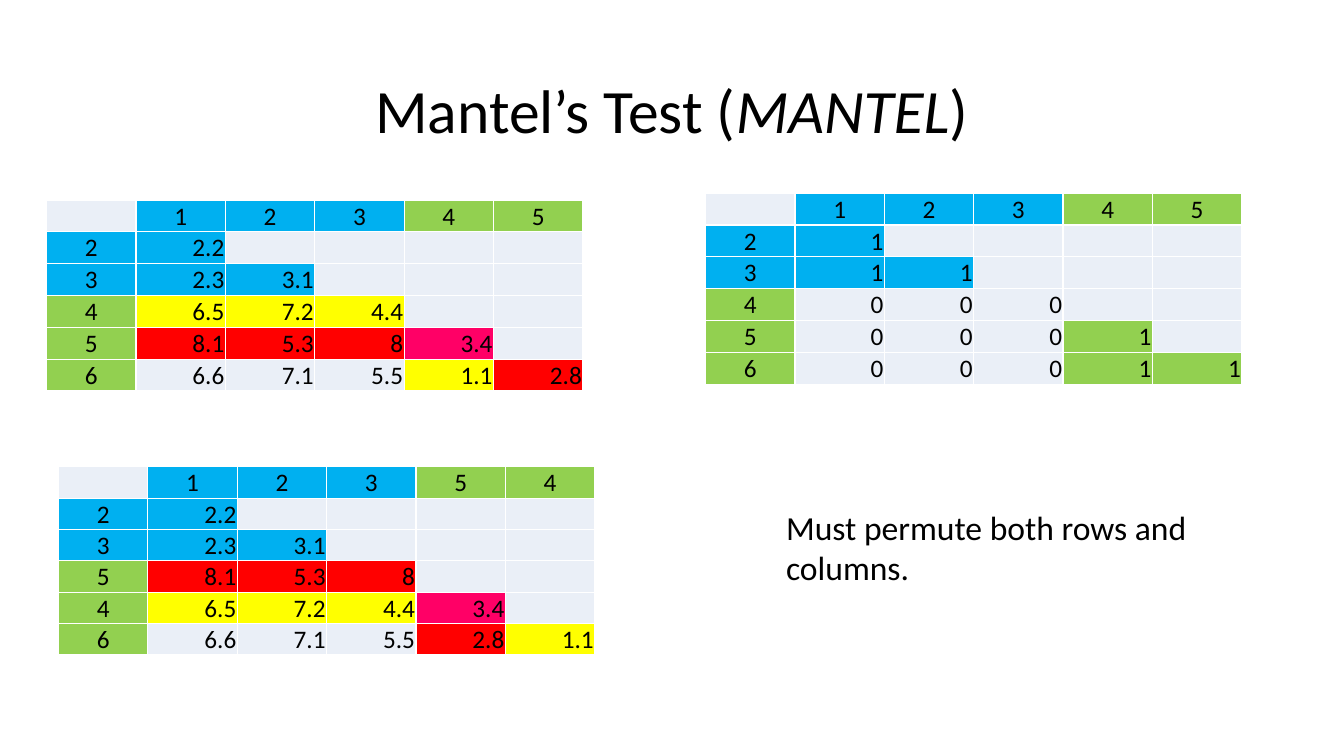
from pptx import Presentation
from pptx.dml.color import RGBColor
from pptx.enum.text import MSO_ANCHOR as Anchor, PP_ALIGN as Align
from pptx.oxml.ns import qn
from pptx.util import Pt
from lxml.etree import SubElement

FONT = "Calibri"
COLORS = {
    "text": "000000", "border": "FFFFFF", "plain": "EAEFF7",
    "first_group": "00B0F0", "second_group": "92D050",
    "with_4": "FFFF00", "with_5": "FF0000", "4_and_5": "FF0066",
}

# Lower triangle of the distance matrix: row item -> distances to items 1, 2, ...
TRIANGLE = {
    2: ["2.2"],
    3: ["2.3", "3.1"],
    4: ["6.5", "7.2", "4.4"],
    5: ["8.1", "5.3", "8", "3.4"],
    6: ["6.6", "7.1", "5.5", "1.1", "2.8"],
}
DISTANCES = {
    frozenset((row, column)): value
    for row, values in TRIANGLE.items()
    for column, value in enumerate(values, start=1)
}
ORIGINAL_ORDER = [1, 2, 3, 4, 5, 6]
PERMUTED_ORDER = [1, 2, 3, 5, 4, 6]

COLUMN_WIDTH = 63.84
ROW_HEIGHT = 22.4


def group_of(item):
    return "first_group" if item <= 3 else "second_group"


def distance_cell(row, column):
    """Text and colour of a distance; items 4 and 5 are marked so they can be followed."""
    pair = frozenset((row, column))
    if pair == {4, 5}:
        color = "4_and_5"
    elif 4 in pair:
        color = "with_4"
    elif 5 in pair:
        color = "with_5"
    else:
        color = group_of(row) if group_of(row) == group_of(column) else "plain"
    return DISTANCES[pair], color


def membership_cell(row, column):
    """1 in the group's colour when both items share a group, otherwise 0."""
    if group_of(row) == group_of(column):
        return "1", group_of(row)
    return "0", "plain"


def add_run(paragraph, text, size, italic=False):
    run = paragraph.add_run()
    run.text = text
    formats = {"name": FONT, "size": Pt(size), "bold": False, "italic": italic}
    for name, value in formats.items():
        setattr(run.font, name, value)
    run.font.color.rgb = RGBColor.from_string(COLORS["text"])


def add_borders(cell):
    properties = cell._tc.get_or_add_tcPr()
    for side in ("a:lnL", "a:lnR", "a:lnT", "a:lnB"):
        line = SubElement(properties, qn(side), w=str(Pt(1)))
        fill = SubElement(line, qn("a:solidFill"))
        SubElement(fill, qn("a:srgbClr"), val=COLORS["border"])


def format_cell(cell, text, color, alignment):
    formats = {
        "margin_left": Pt(0.75), "margin_right": Pt(0.75),
        "margin_top": Pt(0.75), "margin_bottom": 0,
        "vertical_anchor": Anchor.BOTTOM,
    }
    for name, value in formats.items():
        setattr(cell, name, value)
    add_borders(cell)
    cell.fill.solid()
    cell.fill.fore_color.rgb = RGBColor.from_string(COLORS[color])
    if text:
        paragraph = cell.text_frame.paragraphs[0]
        paragraph.alignment = alignment
        add_run(paragraph, text, 18)


def add_matrix(slide, left, top, order, value_cell):
    columns, rows = order[:-1], order[1:]
    size = len(order)
    frame = slide.shapes.add_table(
        size, size, Pt(left), Pt(top), Pt(size * COLUMN_WIDTH), Pt(size * ROW_HEIGHT))
    table = frame.table
    table.first_row = table.horz_banding = False
    for column in table.columns:
        column.width = Pt(COLUMN_WIDTH)
    for row in table.rows:
        row.height = Pt(ROW_HEIGHT)

    # Item numbers along the top and the left side
    format_cell(table.cell(0, 0), "", "plain", Align.CENTER)
    for index, item in enumerate(columns, start=1):
        format_cell(table.cell(0, index), str(item), group_of(item), Align.CENTER)
    for index, item in enumerate(rows, start=1):
        format_cell(table.cell(index, 0), str(item), group_of(item), Align.CENTER)

    # Values on and below the diagonal
    for i, row in enumerate(rows, start=1):
        for j, column in enumerate(columns, start=1):
            text, color = value_cell(row, column) if j <= i else ("", "plain")
            format_cell(table.cell(i, j), text, color, Align.RIGHT)


def set_title(slide):
    title = slide.shapes.title
    box = {"left": Pt(66), "top": Pt(28.8), "width": Pt(828), "height": Pt(104.4)}
    for name, value in box.items():
        setattr(title, name, value)
    title.text_frame.vertical_anchor = Anchor.MIDDLE
    paragraph = title.text_frame.paragraphs[0]
    paragraph.alignment = Align.CENTER
    paragraph.line_spacing = 0.9
    for text, italic in (("Mantel’s Test (", False), ("MANTEL", True), (")", False)):
        add_run(paragraph, text, 44, italic)


def add_note(slide, left, top, width, height, lines):
    box = slide.shapes.add_textbox(Pt(left), Pt(top), Pt(width), Pt(height))
    frame = box.text_frame
    frame.word_wrap = False
    for index, line in enumerate(lines):
        paragraph = frame.add_paragraph() if index else frame.paragraphs[0]
        add_run(paragraph, line, 24)


def main():
    presentation = Presentation()
    presentation.slide_width, presentation.slide_height = Pt(960), Pt(540)
    slide = presentation.slides.add_slide(presentation.slide_layouts[5])

    set_title(slide)
    # Distances, group membership, and distances with 4 and 5 swapped
    add_matrix(slide, 33.3, 142.9, ORIGINAL_ORDER, distance_cell)
    add_matrix(slide, 504, 138, ORIGINAL_ORDER, membership_cell)
    add_note(slide, 554.4, 358.6, 308.2, 65.5,
             ["Must permute both rows and", "columns."])
    add_matrix(slide, 41.8, 333.4, PERMUTED_ORDER, distance_cell)

    presentation.save("out.pptx")


if __name__ == "__main__":
    main()
